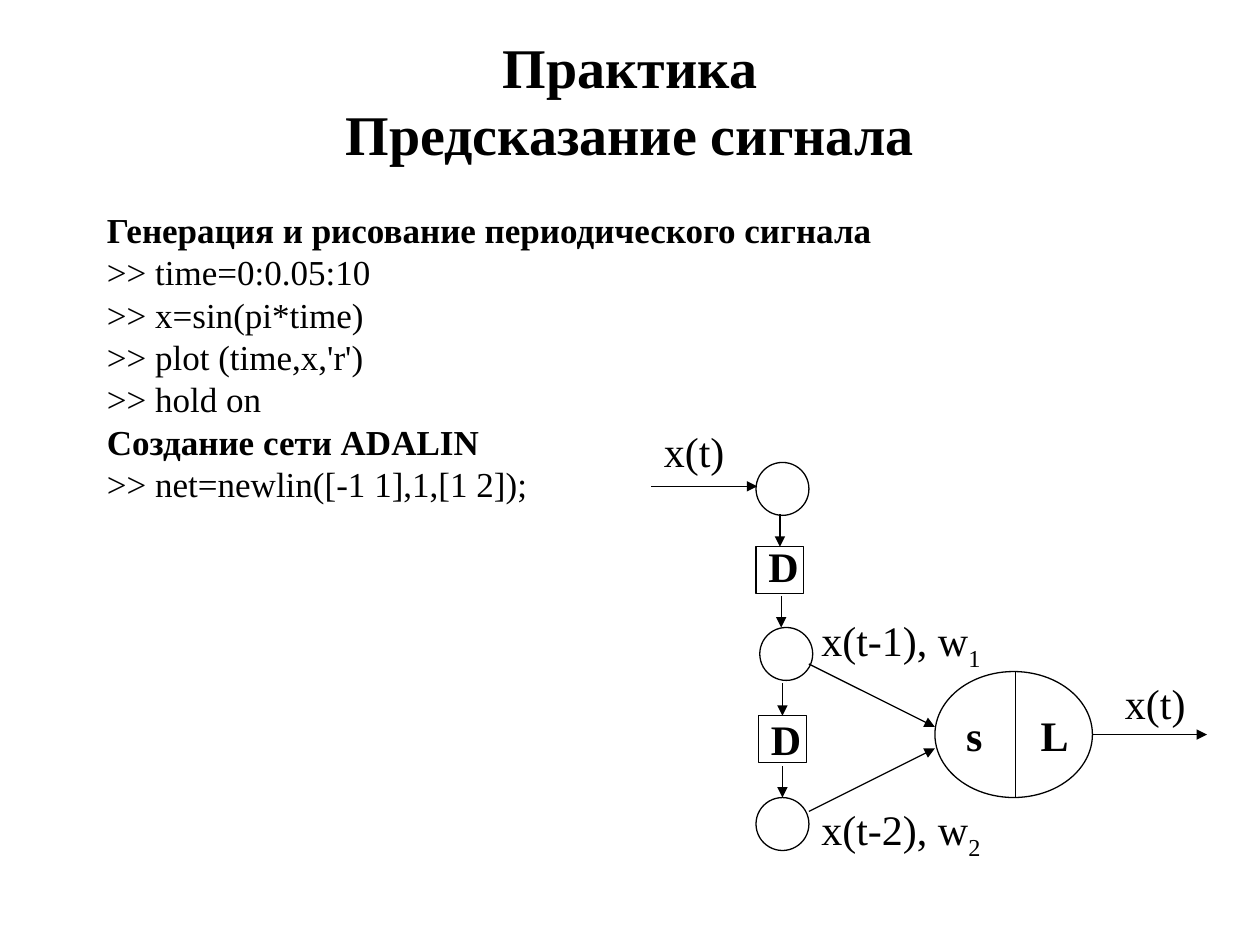
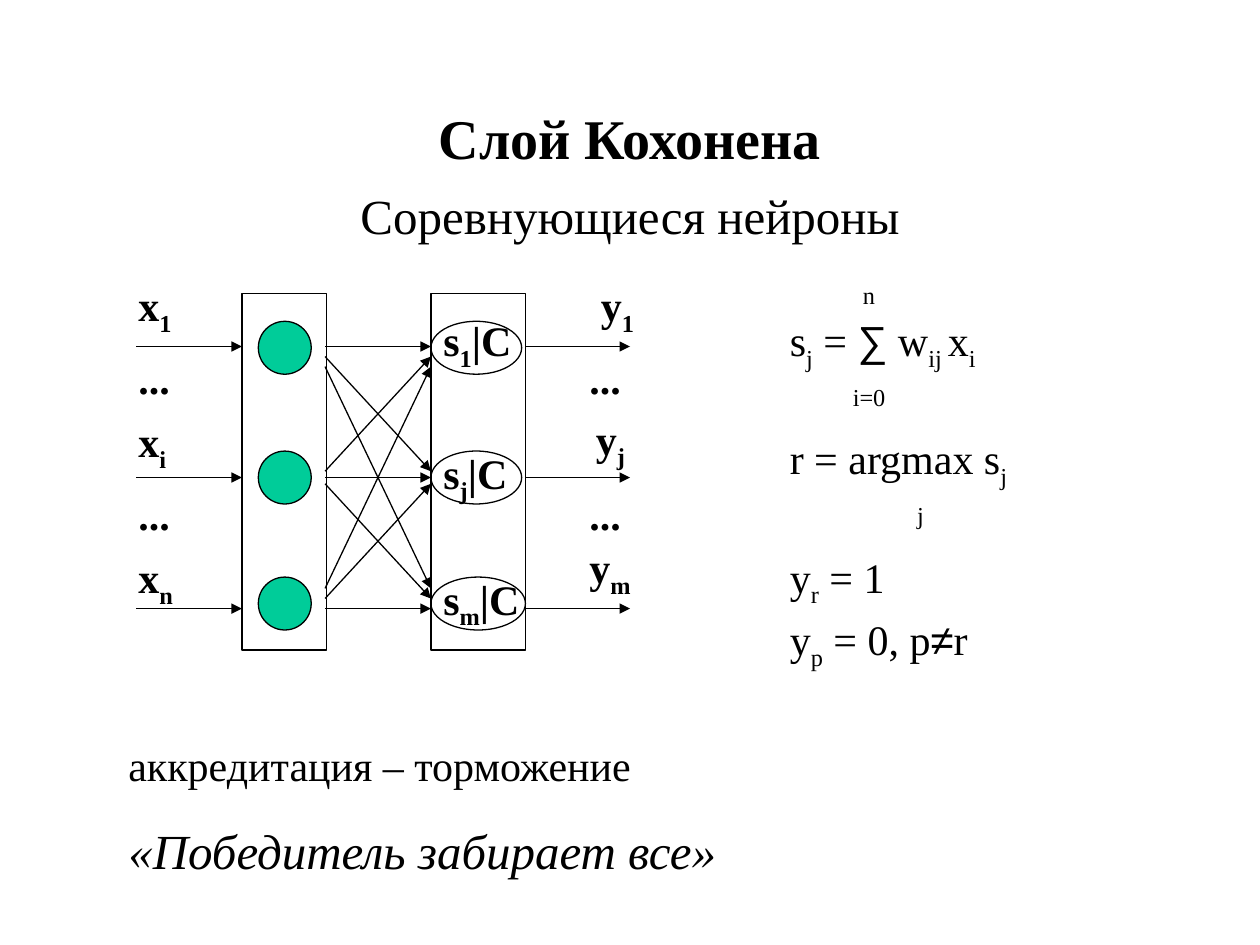
from lxml import etree
from pptx import Presentation
from pptx.dml.color import RGBColor
from pptx.enum.shapes import MSO_CONNECTOR, MSO_SHAPE
from pptx.enum.text import MSO_ANCHOR, PP_ALIGN
from pptx.oxml.ns import qn
from pptx.util import Inches, Pt

BLACK = RGBColor(0, 0, 0)
GREEN = RGBColor(0x00, 0xCC, 0x99)
FONT = "Times New Roman"
SYMBOL_FONT = "Arial"
SUB, SUPER = "-25000", "30000"
RECT, OVAL = MSO_SHAPE.RECTANGLE, MSO_SHAPE.OVAL


def write(page, left, top, width, height, lines, size=24, bold=False, tabs=()):
    """Add a text box; a line is a list of strings and (string, baseline) pairs."""
    box = page.shapes.add_textbox(Inches(left), Inches(top), Inches(width), Inches(height))
    frame = box.text_frame
    frame.word_wrap = True
    for number, line in enumerate(lines):
        para = frame.paragraphs[0] if number == 0 else frame.add_paragraph()
        if tabs and tabs[number]:
            tab_list = etree.SubElement(para._p.get_or_add_pPr(), qn("a:tabLst"))
            etree.SubElement(tab_list, qn("a:tab"), pos=str(Inches(tabs[number])), algn="l")
        para.font.name, para.font.size, para.font.bold = FONT, Pt(size), bold
        para.font.color.rgb = BLACK
        for part in line:
            text, baseline = (part, None) if isinstance(part, str) else part
            span = para.add_run()
            span.text = text
            if baseline:
                span._r.get_or_add_rPr().set("baseline", baseline)
            if text in "∑≠":
                span.font.name = SYMBOL_FONT
    return frame.paragraphs


def outline(page, kind, left, top, width, height, fill=None):
    shape = page.shapes.add_shape(kind, Inches(left), Inches(top), Inches(width), Inches(height))
    shape.shadow.inherit = False
    shape.line.color.rgb = BLACK
    shape.line.width = Pt(0.75)
    if fill is None:
        shape.fill.background()
    else:
        shape.fill.solid()
        shape.fill.fore_color.rgb = fill
    return shape


deck = Presentation()
deck.slide_width, deck.slide_height = Inches(10), Inches(7.5)

# Pages and their titles
pages = []
for heading, top, height in [("Практика\vПредсказание сигнала", 0.33, 0.92),
                             ("Слой Кохонена", 0.67, 0.83)]:
    page = deck.slides.add_slide(deck.slide_layouts[5])
    title = page.shapes.title
    title.left, title.top = Inches(0.75), Inches(top)
    title.width, title.height = Inches(8.5), Inches(height)
    title.text_frame.text = heading
    title.text_frame.vertical_anchor = MSO_ANCHOR.MIDDLE
    para = title.text_frame.paragraphs[0]
    para.alignment = PP_ALIGN.CENTER
    para.font.name, para.font.size, para.font.bold = FONT, Pt(32), True
    para.font.color.rgb = BLACK
    pages.append(page)
signal_page, kohonen_page = pages

# Signal page: commands
commands = [
    "Генерация и рисование периодического сигнала",
    ">> time=0:0.05:10",
    ">> x=sin(pi*time)",
    ">> plot (time,x,'r')",
    ">> hold on",
    "Создание сети ADALIN",
    ">> net=newlin([-1 1],1,[1 2]);",
]
paras = write(signal_page, 0.75, 1.67, 8.5, 2.58, [[command] for command in commands], size=20)
for number, para in enumerate(paras):
    para.line_spacing = 0.8
    para.space_before = Pt(5 if number else 0)
    para.font.bold = not commands[number].startswith(">>")

# Signal page: delay line and neuron
for left, top in [(6, 3.67), (6.03, 4.98), (6, 6.33)]:
    outline(signal_page, OVAL, left, top, 0.42, 0.42)
delays = []
for left, top, letter_top in [(6, 4.34, 4.24), (6.02, 5.68, 5.61)]:
    delays.append(outline(signal_page, RECT, left, top, 0.38, 0.37))
    write(signal_page, left, letter_top, 0.44, 0.5, [["D"]], bold=True)
neuron = outline(signal_page, OVAL, 7.42, 5.33, 1.25, 1)
for letter, left, width in [("s", 7.57, 0.33), ("L", 8.16, 0.42)]:
    write(signal_page, left, 5.58, width, 0.5, [[letter]], bold=True)
for left, top in [(5.17, 3.33), (8.83, 5.33)]:
    write(signal_page, left, top, 0.75, 0.5, [["x(t)"]])
for step, top in [("1", 4.83), ("2", 6.33)]:
    write(signal_page, 6.42, top, 1.5, 0.56, [[f"x(t-{step}), w", (step, SUB)]])

# Lines: page, start, end, arrowhead, shape joined at the top of its side
lines = [
    (signal_page, 5.17, 3.86, 6.01, 3.86, True, None),
    (signal_page, 6.19, 4.08, 6.19, 4.34, True, delays[0]),
    (signal_page, 6.2, 4.73, 6.2, 4.98, True, None),
    (signal_page, 6.21, 5.42, 6.21, 5.68, True, delays[1]),
    (signal_page, 6.21, 6.08, 6.21, 6.33, True, None),
    (signal_page, 6.42, 5.27, 7.42, 5.77, True, None),
    (signal_page, 6.42, 6.44, 7.42, 5.94, True, None),
    (signal_page, 8.06, 5.33, 8.06, 6.33, False, None),
    (signal_page, 8.67, 5.83, 9.58, 5.83, True, None),
]

# Kohonen page: subtitle
paras = write(kohonen_page, 0.75, 1.42, 8.5, 0.75, [["Соревнующиеся нейроны"]], size=28)
paras[0].alignment = PP_ALIGN.CENTER

# Kohonen page: input and output layers
rows = [2.75, 3.79, 4.83]
node_tops = [2.55, 3.58, 4.58]
outline(kohonen_page, RECT, 1.92, 2.33, 0.67, 2.83)
outline(kohonen_page, RECT, 3.42, 2.33, 0.75, 2.83)
for top, label_top, letter, width in zip(node_tops, (2.45, 3.5, 4.5), "1jm", (0.72, 0.72, 0.75)):
    outline(kohonen_page, OVAL, 2.05, top, 0.42, 0.42, GREEN)
    outline(kohonen_page, OVAL, 3.42, top, width, 0.42)
    write(kohonen_page, 3.42, label_top, 0.92, 0.56, [["s", (letter, SUB), "|C"]], bold=True)

# Kohonen page: labels of the signals
for name, letter, left, top in [
    ("x", "1", 1, 2.17), ("x", "i", 1, 3.25), ("x", "n", 1, 4.33),
    ("y", "1", 4.67, 2.17), ("y", "j", 4.63, 3.23), ("y", "m", 4.58, 4.25),
]:
    write(kohonen_page, left, top, 0.58, 0.56, [[name, (letter, SUB)]], bold=True)
for left in (1, 4.58):
    for top in (2.75, 3.83):
        write(kohonen_page, left, top, 0.67, 0.5, [["..."]], bold=True)

# Kohonen page: every input feeds every output, the ends fanned out
fan = [0.08, 0.05, 0.08]
for source, row in enumerate(rows):
    for start, end in [(1.08, 1.92), (4.17, 5)]:
        lines.append((kohonen_page, start, row, end, row, True, None))
    for target, target_row in enumerate(rows):
        shift = target - source
        lines.append((kohonen_page, 2.58, row + fan[source] * shift,
                      3.42, target_row - fan[target] * shift, True, None))

# Kohonen page: formulas
formulas = [
    ["\t", ("n", SUB)],
    ["s", ("j", SUB), " = ", "∑", " w", ("ij ", SUB), "x", ("i", SUB)],
    ["\t", ("i=0", SUPER)],
    ["r = argmax s", ("j", SUB)],
    ["\t", ("j", SUPER)],
    ["y", ("r", SUB), " = 1"],
    ["y", ("p", SUB), " = 0, p", "≠", "r"],
]
paras = write(kohonen_page, 6.17, 1.95, 2.33, 3.48, formulas,
              tabs=(0.58, None, 0.5, None, 1.01, None, None))
for para in paras[1:]:
    para.space_before = Pt(3)

# Kohonen page: conclusion
paras = write(kohonen_page, 0.92, 5.82, 5.25, 1.21,
              [["аккредитация – торможение"], ["«Победитель забирает все»"]])
paras[1].space_before = Pt(17.5)
paras[1].font.size = Pt(28)
paras[1].font.italic = True

# Draw all lines
for page, x1, y1, x2, y2, has_head, joined in lines:
    line = page.shapes.add_connector(MSO_CONNECTOR.STRAIGHT,
                                     Inches(x1), Inches(y1), Inches(x2), Inches(y2))
    line.line.color.rgb = BLACK
    line.line.width = Pt(0.75)
    if has_head:
        etree.SubElement(line.line._get_or_add_ln(), qn("a:tailEnd"), type="triangle")
    etree.SubElement(line._element.spPr, qn("a:effectLst"))
    if joined is not None:
        line.end_connect(joined, 0)

deck.save("out.pptx")
